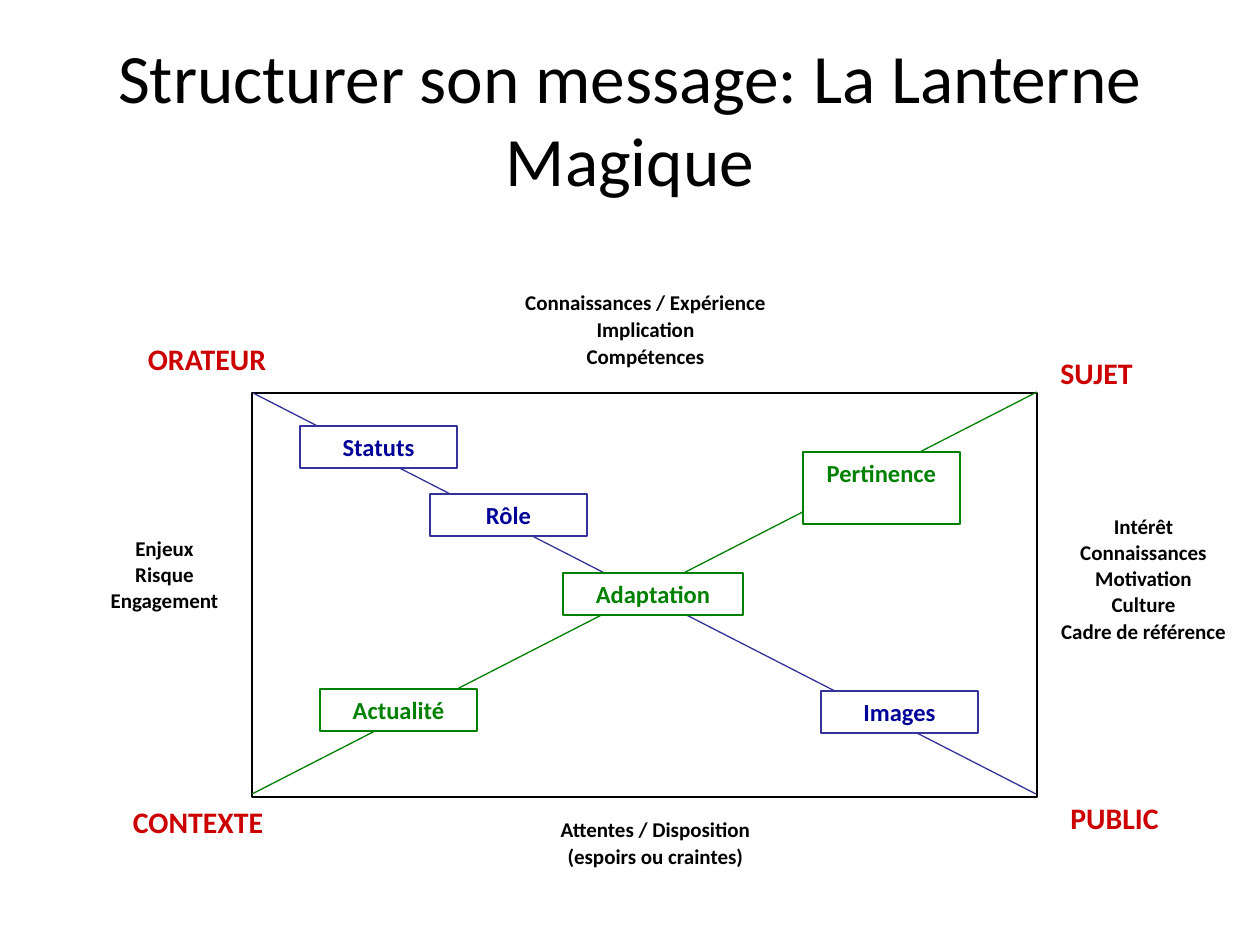
from lxml.etree import SubElement
from pptx import Presentation
from pptx.dml.color import RGBColor
from pptx.enum.shapes import MSO_CONNECTOR, MSO_SHAPE
from pptx.enum.text import MSO_ANCHOR, MSO_AUTO_SIZE, PP_ALIGN
from pptx.oxml.ns import qn
from pptx.util import Emu, Pt

PX = 914400 / 126
FONT = "Calibri"
BLACK = RGBColor(0x00, 0x00, 0x00)
WHITE = RGBColor(0xFF, 0xFF, 0xFF)
RED = RGBColor(0xCC, 0x00, 0x00)
GREEN = RGBColor(0x00, 0x80, 0x00)
NAVY = RGBColor(0x00, 0x00, 0x99)
INDIGO = RGBColor(0x33, 0x33, 0x99)

# Content; every box is left, top, width, height in px
TITLE = "Structurer son message: La Lanterne Magique"
FRAME = (252, 393, 785, 404)
DIAGONALS = [  # start x, start y, end x, end y, colour
    (253, 393, 1036, 794, INDIGO),
    (252, 794, 1037, 392, GREEN),
]
STEPS = [  # text, box, text colour, line colour
    ("Statuts", (300, 426, 157, 42), NAVY, INDIGO),
    ("Rôle", (430, 494, 157, 42), NAVY, INDIGO),
    ("Pertinence", (803, 452, 157, 72), GREEN, GREEN),
    ("Adaptation", (563, 573, 180, 42), GREEN, GREEN),
    ("Actualité", (320, 689, 157, 42), GREEN, GREEN),
    ("Images", (821, 691, 157, 42), NAVY, INDIGO),
]
CORNERS = [
    ("SUJET", (1031, 349, 131, 49)),
    ("PUBLIC", (1032, 794, 165, 49)),
    ("CONTEXTE", (94, 798, 208, 49)),
    ("ORATEUR", (103, 335, 208, 49)),
]
SIDES = [  # lines, box, space between lines in points
    (["Connaissances / Expérience", "Implication", "Compétences"],
     (491, 283, 309, 120), 1.2),
    (["Intérêt", "Connaissances", "Motivation", "Culture", "Cadre de référence"],
     (1034, 507, 219, 170), 0.6),
    (["Attentes / Disposition", "(espoirs ou craintes)"],
     (529, 810, 253, 117), 1.2),
    (["Enjeux", "Risque", "Engagement"], (89, 529, 151, 117), 0.6),
]


def scale(*lengths):
    return [Emu(round(length * PX)) for length in lengths]


def write(shape, lines, size, color=BLACK, bold=True, gap=0, anchor=MSO_ANCHOR.TOP):
    frame = shape.text_frame
    frame.word_wrap = True
    frame.auto_size = MSO_AUTO_SIZE.NONE
    frame.vertical_anchor = anchor
    for index, line in enumerate(lines):
        paragraph = frame.add_paragraph() if index else frame.paragraphs[0]
        paragraph.alignment = PP_ALIGN.CENTER
        if index:
            paragraph.space_before = Pt(gap)
        run = paragraph.add_run()
        run.text = line
        run.font.name = FONT
        run.font.size = Pt(size)
        run.font.bold = bold
        run.font.color.rgb = color


def add_rectangle(slide, box, line_color, fill=None):
    shape = slide.shapes.add_shape(MSO_SHAPE.RECTANGLE, *scale(*box))
    shape.shadow.inherit = False
    if fill is None:
        shape.fill.background()
    else:
        shape.fill.solid()
        shape.fill.fore_color.rgb = fill
    shape.line.color.rgb = line_color
    shape.line.width = Pt(0.75)
    return shape


def add_line(slide, ends, color):
    line = slide.shapes.add_connector(MSO_CONNECTOR.STRAIGHT, *scale(*ends))
    line.line.color.rgb = color
    line.line.width = Pt(0.75)
    SubElement(line._element.spPr, qn("a:effectLst"))


def main():
    presentation = Presentation()
    presentation.slide_width, presentation.slide_height = scale(1260, 945)
    slide = presentation.slides.add_slide(presentation.slide_layouts[5])

    # Title
    title = slide.shapes.title
    title.left, title.top, title.width, title.height = scale(63, 38, 1134, 158)
    write(title, [TITLE], 39.6, bold=False, anchor=MSO_ANCHOR.MIDDLE)

    # Frame and diagonals
    add_rectangle(slide, FRAME, BLACK)
    for *ends, color in DIAGONALS:
        add_line(slide, ends, color)

    # Boxes along the diagonals
    for text, box, color, line_color in STEPS:
        write(add_rectangle(slide, box, line_color, WHITE), [text], 14, color)

    # Corner names and side notes
    for text, box in CORNERS:
        write(slide.shapes.add_textbox(*scale(*box)), [text], 17, RED)
    for lines, box, gap in SIDES:
        write(slide.shapes.add_textbox(*scale(*box)), lines, 12, gap=gap)

    presentation.save("out.pptx")


if __name__ == "__main__":
    main()
